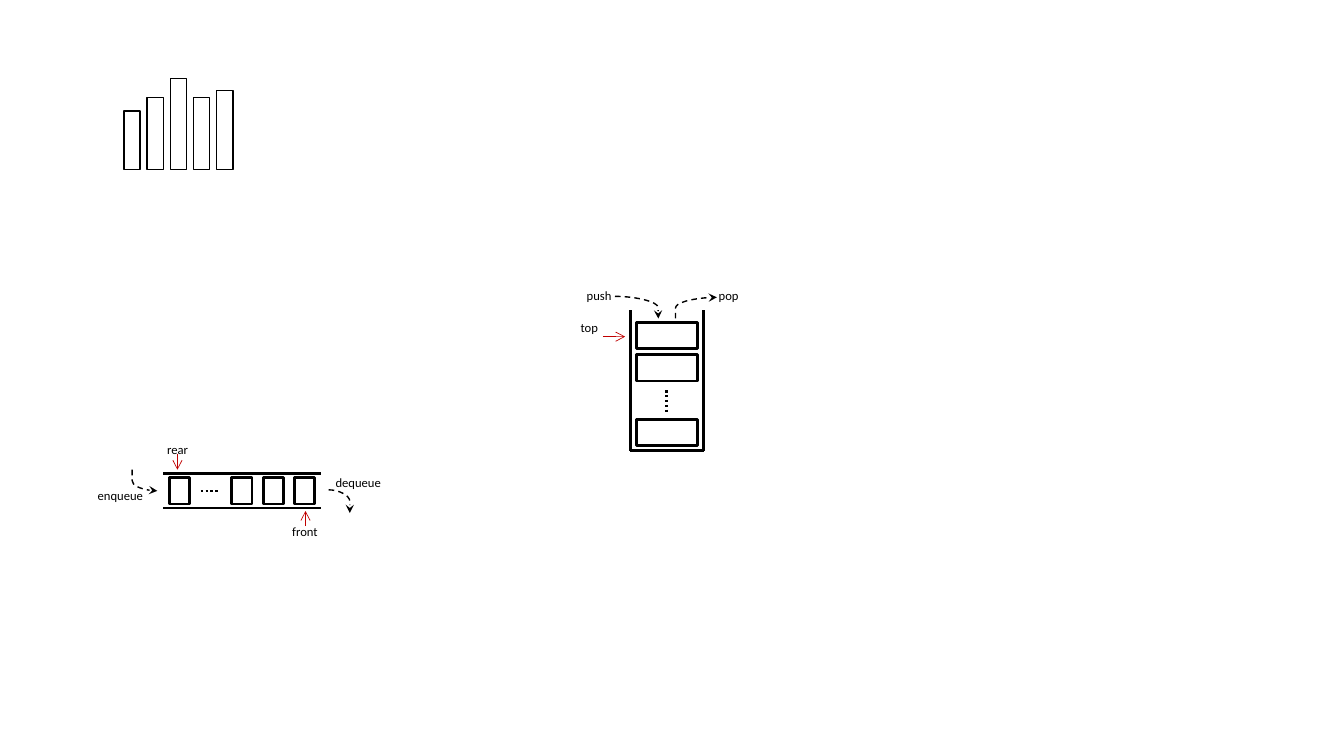
"""Draw bars, a queue and a stack on one slide, in cells of one inch."""
import dataclasses
import pptx
import pptx.util
import pptx.dml.color
import pptx.enum.dml
import pptx.enum.shapes
import pptx.enum.text
import pptx.oxml.ns
import lxml.etree

Pt = pptx.util.Pt
RGB = pptx.dml.color.RGBColor
DASH = pptx.enum.dml.MSO_LINE
KIND = pptx.enum.shapes.MSO_CONNECTOR
qn = pptx.oxml.ns.qn


@dataclasses.dataclass(frozen=True)
class Theme:
    """Hold the colours, type and line widths."""
    ink: str = "000000"
    paper: str = "FFFFFF"
    mark: str = "C00000"
    font: str = "Calibri"
    size: float = 9
    thin: float = 0.5
    line: float = 1
    dots: float = 1.75
    bold: float = 2


THEME = Theme()
COLS, ROWS = 13.33, 7.5


def cells(*spans):
    """Turn grid spans into slide lengths."""
    return [pptx.util.Inches(span) for span in spans]


def style(item, form):
    """Set each format value on the item."""
    for name, value in form.items():
        setattr(item, name, value)


def box(slide, left, top, wide, high, width):
    """Draw a white box with a black edge."""
    shape = slide.shapes.add_shape(
        pptx.enum.shapes.MSO_SHAPE.RECTANGLE, *cells(left, top, wide, high))
    shape.shadow.inherit = False
    shape.fill.solid()
    shape.fill.fore_color.rgb = RGB.from_string(THEME.paper)
    shape.line.color.rgb = RGB.from_string(THEME.ink)
    shape.line.width = Pt(width)


def link(slide, start, end, width, color=THEME.ink, dash=None, tail=None, bend=None):
    """Draw a line or, given a bend, a curve."""
    kind = KIND.STRAIGHT if bend is None else KIND.CURVE
    wire = slide.shapes.add_connector(kind, *cells(*start, *end))
    wire.line.color.rgb = RGB.from_string(color)
    style(wire.line, {"width": Pt(width), "dash_style": dash})
    props = wire.element.spPr
    if tail:
        lxml.etree.SubElement(props.find(qn("a:ln")), qn("a:tailEnd"), type=tail)
    if bend is not None:
        guide = props.find(qn("a:prstGeom")).find(qn("a:avLst"))
        lxml.etree.SubElement(guide, qn("a:gd"), name="adj1", fmla=f"val {bend}")
    lxml.etree.SubElement(props, qn("a:effectLst"))


def rail(slide, start, end):
    """Draw a heavy wall."""
    link(slide, start, end, THEME.bold)


def dots(slide, start, end):
    """Draw dots for the items left out."""
    link(slide, start, end, THEME.dots, dash=DASH.ROUND_DOT)


def point(slide, start, end):
    """Draw a thin red pointer."""
    link(slide, start, end, THEME.thin, THEME.mark, tail="arrow")


def swoop(slide, start, end, bend):
    """Draw a dashed curve with an arrowhead."""
    link(slide, start, end, THEME.line, dash=DASH.DASH, tail="stealth", bend=bend)


def label(slide, text, left, top, wide):
    """Write a small label."""
    area = slide.shapes.add_textbox(*cells(left, top, wide, 0.25))
    frame = area.text_frame
    style(frame, {"word_wrap": True, "text": text,
                  "auto_size": pptx.enum.text.MSO_AUTO_SIZE.SHAPE_TO_FIT_TEXT})
    font = frame.paragraphs[0].runs[0].font
    style(font, {"name": THEME.font, "size": Pt(THEME.size)})
    font.color.rgb = RGB.from_string(THEME.ink)


def bars(slide):
    """Draw five bars on one base."""
    left, base, step = 1.23, 1.68, 0.23
    for slot, high in enumerate((0.58, 0.71, 0.9, 0.71, 0.78)):
        box(slide, left + slot * step, base - high, 0.16, high, THEME.line)


def queue(slide):
    """Draw the queue with its two ends."""
    left, step = 1.68, 0.31
    for row in (4.7, 5.04):
        rail(slide, (1.62, row), (3.18, row))
    for slot in (0, 2, 3, 4):
        box(slide, left + slot * step, 4.74, 0.2, 0.26, THEME.bold)
    dots(slide, (left + step, 4.87), (2.16, 4.87))
    swoop(slide, (1.31, 4.66), (1.56, 4.87), 0)
    swoop(slide, (3.26, 4.86), (3.47, 5.09), 100000)
    point(slide, (3.03, 5.22), (3.03, 5.07))
    point(slide, (1.76, 4.5), (1.76, 4.66))
    for text, col, row, wide in (("rear", 1.56, 4.33, 0.45), ("front", 2.8, 5.15, 0.51),
                                 ("enqueue", 0.87, 4.79, 0.65),
                                 ("dequeue", 3.23, 4.66, 0.67)):
        label(slide, text, col, row, wide)


def stack(slide):
    """Draw the stack with its open top."""
    left, right, base, rim = 6.25, 6.98, 4.47, 3.08
    first, step = 3.2, 0.32
    for slot in (0, 1, 3):
        box(slide, 6.31, first + slot * step, 0.61, 0.26, THEME.bold)
    rail(slide, (right, base), (left, base))
    for col in (left, right):
        rail(slide, (col, base), (col, rim))
    dots(slide, (6.61, 3.87), (6.61, 4.11))
    swoop(slide, (6.1, 2.94), (6.53, 3.16), 99400)
    swoop(slide, (6.7, 3.16), (7.11, 2.95), 0)
    point(slide, (5.98, 3.34), (6.2, 3.34))
    for text, col, row in (("top", 5.66, 3.12), ("push", 5.72, 2.81), ("pop", 7.03, 2.81)):
        label(slide, text, col, row, 0.51)


def main():
    """Build the slide and save it."""
    deck = pptx.Presentation()
    wide, high = cells(COLS, ROWS)
    style(deck, {"slide_width": wide, "slide_height": high})
    slide = deck.slides.add_slide(deck.slide_layouts[6])
    for draw in (bars, queue, stack):
        draw(slide)
    deck.save("out.pptx")


main()
